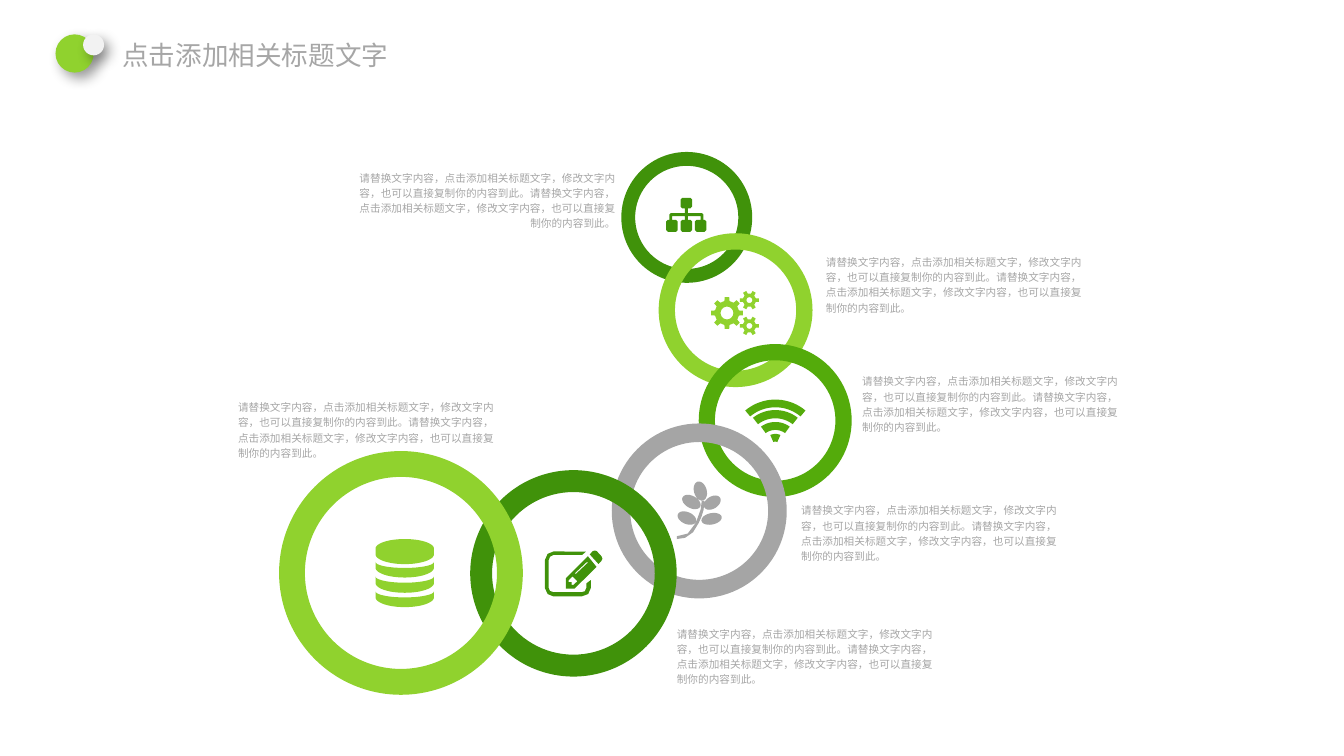
from math import cos, sin, pi, radians, hypot
from lxml import etree
from pptx import Presentation
from pptx.util import Pt
from pptx.dml.color import RGBColor
from pptx.enum import shapes, text
from pptx.oxml.ns import qn

DARK, LIME, GREEN, GRAY, PALE = "40920A", "90D22E", "54AB0B", "A5A5A5", "F2F2F2"
INK = "A6A6A6"
BODY = ("请替换文字内容，点击添加相关标题文字，修改文字内容，也可以直接复制你的内容到此。"
        "请替换文字内容，点击添加相关标题文字，修改文字内容，也可以直接复制你的内容到此。")

deck = Presentation()
deck.slide_width, deck.slide_height = Pt(1012.32), Pt(569.52)
slide = deck.slides.add_slide(deck.slide_layouts[6])
items = slide.shapes


def paint(shape, color):
    shape.shadow.inherit = False
    shape.fill.solid()
    shape.fill.fore_color.rgb = RGBColor.from_string(color)
    shape.line.fill.background()


def draw(color, loops):
    """Draw one icon from closed loops of points; inner loops are holes."""
    grid = [[(x * 100, y * 100) for x, y in loop] for loop in loops]
    pen = items.build_freeform(*grid[0][0], scale=Pt(1) / 100)
    pen.add_line_segments(grid[0][1:])
    for loop in grid[1:]:
        pen.move_to(*loop[0])
        pen.add_line_segments(loop[1:])
    paint(pen.convert_to_shape(), color)


# Chain of rings: left, top, size
for x, y, size, color in [
    (468, 114.5, 98.6, DARK), (496.1, 175.7, 115.9, LIME),
    (526.3, 259.2, 115.2, GREEN), (460.8, 319, 131.8, GRAY),
    (354.2, 354.2, 155.5, DARK), (210.2, 339.8, 183.6, LIME),
]:
    ring = items.add_shape(shapes.MSO_SHAPE.DONUT, Pt(x), Pt(y), Pt(size), Pt(size))
    ring.adjustments[0] = 0.106
    paint(ring, color)

# Tree chart
tree = []
for x, y in [(512.6, 149), (501.8, 165.6), (512.6, 165.6), (523.4, 165.6)]:
    r, b, c = x + 8.7, y + 9, 1.3
    if y < 160:
        b = 157
    tree.append([(x + c, y), (r - c, y), (r, y + c), (r, b - c),
                 (r - c, b), (x + c, b), (x, b - c), (x, y + c)])
half = [(1.1, 157), (1.1, 160.6), (11.8, 160.6), (12.9, 161.7), (12.9, 165.6),
        (10.7, 165.6), (10.7, 162.8), (1.1, 162.8), (1.1, 165.6)]
tree.append([(517 + x, y) for x, y in half] + [(517 - x, y) for x, y in half[::-1]])
draw(DARK, tree)

# Gears: centre, tip radius, root radius, hole radius, teeth
gears = []
for x, y, tip, root, hole, teeth in [
    (547.6, 235.8, 12, 9.2, 4.8, 8),
    (564.5, 226.1, 7.3, 5, 2.2, 6), (564.5, 245.5, 7.3, 5, 2.2, 6),
]:
    step = 2 * pi / teeth
    gears.append([(x + r * cos((n + f) * step), y + r * sin((n + f) * step))
                  for n in range(teeth)
                  for f, r in [(-.27, root), (-.18, tip), (.18, tip), (.27, root)]])
    gears.append([(x + hole * cos(n * pi / 12), y + hole * sin(n * pi / 12))
                  for n in range(24)])
draw(LIME, gears)

# Wireless waves
waves = []
for far, near, turn in [(35.3, 29.5, 40), (27.4, 21.2, 38), (18.4, 12.4, 36), (9.4, 3.6, 24)]:
    arc = [radians(turn * n / 10) for n in range(-10, 11)]
    waves.append([(584 + far * sin(a), 336.3 - far * cos(a)) for a in arc]
                 + [(584 + near * sin(a), 336.3 - near * cos(a)) for a in arc[::-1]])
draw(GREEN, waves)

# Drum: top edge, its rise, bottom edge
arc = [pi * n / 24 for n in range(25)]
drum = []
for top, rise, base in [(413.3, -7.2, 417.6), (423.4, 4.5, 427.7),
                        (434.3, 4.7, 439.2), (445.5, 4.6, 450)]:
    drum.append([(304.9 + 22 * cos(a), top + rise * sin(a)) for a in arc]
                + [(304.9 - 22 * cos(a), base + 7.4 * sin(a)) for a in arc])
draw(LIME, drum)

# Note and pencil
draw(DARK, [
    [(441.3, 415.6), (417, 415.4), (412.5, 417.2), (410.4, 421.9), (410.4, 443),
     (412.5, 447.5), (417, 449.3), (438, 449.3), (443, 447.5), (445, 443),
     (445, 437), (441.6, 439.5), (441.6, 443), (440.5, 445.4), (438, 446.1),
     (417, 446.1), (414.3, 445.2), (413.3, 443), (413.3, 421.9), (414.3, 419.4),
     (417, 418), (438.5, 418)],
    [(449.3, 427), (432.7, 443.5), (426.2, 443.5), (426.2, 435.6), (442.8, 419)],
    [(434.9, 437.8), (431.3, 434.2), (428.4, 437), (428.4, 438.5),
     (430.6, 438.5), (430.6, 440.6), (432, 440.6)],
    [(442.2, 423.2), (433, 431.8), (433.6, 432.5), (442.8, 423.9)],
    [(450.7, 424.8), (444.2, 417.6), (446.5, 415.2), (448, 414.7), (449.5, 415.2),
     (453, 419), (453.8, 420.8), (453, 422.6)],
])

# Twig: stem, then leaves from base to tip
twig = [[(509.8, 404), (518, 402), (524.2, 393.8), (527.8, 383.8), (528.6, 377.3),
         (530.6, 377.3), (530, 384), (528.5, 389), (526.3, 394), (522, 401),
         (516, 405.2), (509.8, 406.1)]]
for x, y, u, v, wide in [
    (529.6, 377, 525.5, 362.9, 4.8), (527.4, 381.8, 514.2, 374.6, 4.6),
    (530.6, 382.4, 542.4, 375, 4.6), (524.2, 393.2, 510.6, 387.4, 4.5),
    (528.4, 392.4, 543.6, 389.4, 4.3),
]:
    dx, dy = u - x, v - y
    span = hypot(dx, dy)
    leaf = []
    for n in range(24):
        t, w = (1 - cos(n * pi / 12)) / 2, wide * sin(n * pi / 12)
        leaf.append((x + dx * t - dy / span * w, y + dy * t + dx / span * w))
    twig.append(leaf)
draw(GRAY, twig)

# Texts: left, top, width, height, inset, size, line spacing, words, side
LEFT, RIGHT = text.PP_ALIGN.LEFT, text.PP_ALIGN.RIGHT
notes = [(179.3, 300.2, 196.6, LEFT), (509.8, 470.9, 195.1, LEFT),
         (603.4, 378, 195.1, LEFT), (649.4, 280.8, 195.1, LEFT),
         (622.1, 190.8, 195.1, LEFT), (267.1, 127.4, 196.6, RIGHT)]
boxes = [(x, y, w, 46.8, 0, 8, 1.2, BODY, side) for x, y, w, side in notes]
boxes.append((85, 25.9, 241.2, 28.8, 1, 20, 1, "点击添加相关标题文字", LEFT))
for x, y, w, h, pad, size, gap, words, side in boxes:
    box = items.add_textbox(Pt(x), Pt(y), Pt(w), Pt(h))
    frame = box.text_frame
    frame.word_wrap = True
    frame.margin_left = frame.margin_right = Pt(7.2 * pad)
    frame.margin_top = frame.margin_bottom = Pt(3.6 * pad)
    para = frame.paragraphs[0]
    para.text, para.alignment, para.line_spacing = words, side, gap
    para.font.name, para.font.size = "Arial", Pt(size)
    para.font.color.rgb = RGBColor.from_string(INK)

# Title dots with soft shadows
for x, size, color in [(41.8, 28.8, LIME), (62.6, 15.8, PALE)]:
    dot = items.add_shape(shapes.MSO_SHAPE.OVAL, Pt(x), Pt(25.9), Pt(size), Pt(size))
    paint(dot, color)
    effects = dot._element.spPr.find(qn("a:effectLst"))
    shade = etree.SubElement(effects, qn("a:outerShdw"), blurRad=str(Pt(10)),
                             dist=str(Pt(6)), dir="2700000", algn="tl", rotWithShape="0")
    tone = etree.SubElement(shade, qn("a:srgbClr"), val="000000")
    etree.SubElement(tone, qn("a:alpha"), val="40000")

deck.save("out.pptx")
